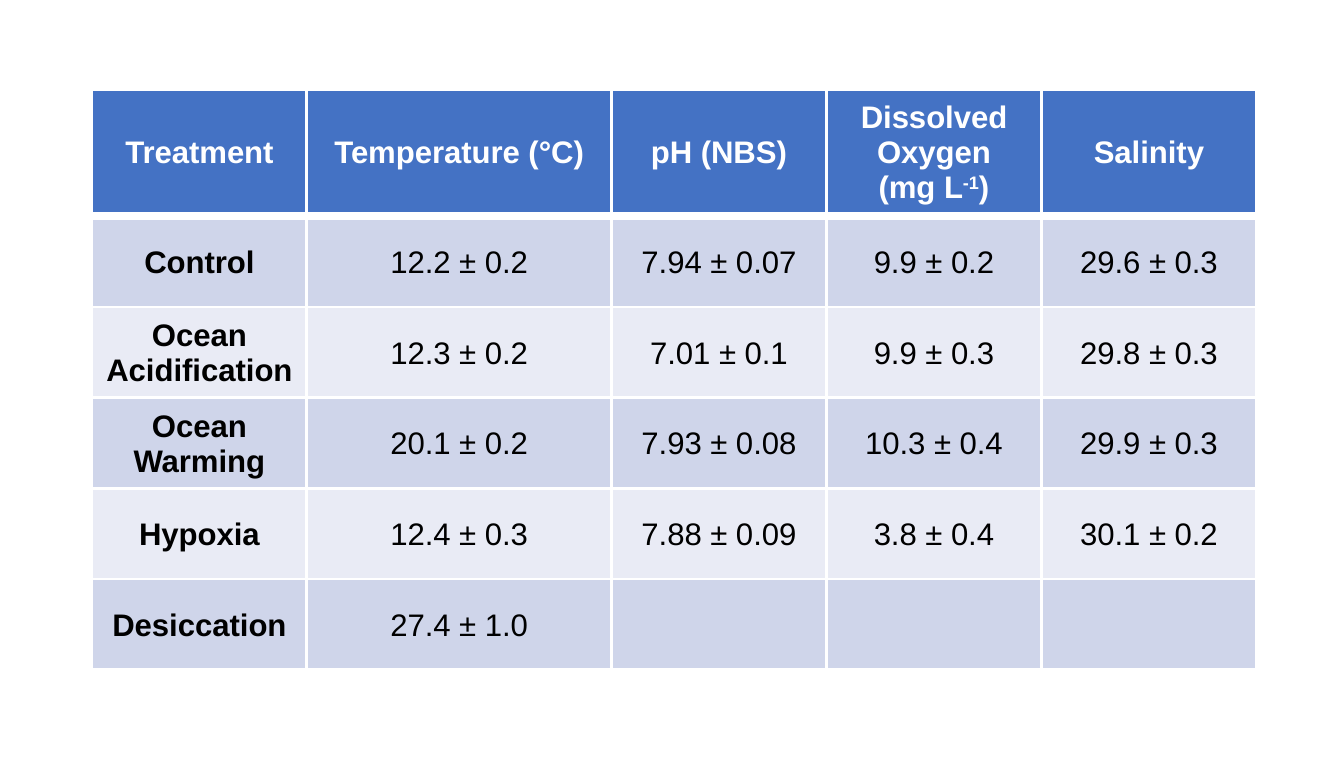
"""Build a slide with a table of water conditions for each treatment."""
from lxml.etree import SubElement
from pptx import Presentation
from pptx.dml.color import RGBColor
from pptx.enum.text import MSO_ANCHOR, PP_ALIGN
from pptx.oxml.ns import qn
from pptx.util import Inches, Pt

COLORS = {
    "header": "4472C4",
    "odd": "CFD5EA",
    "even": "E9EBF5",
    "white": "FFFFFF",
    "black": "000000",
}
COLUMN_WIDTHS = [0.96, 1.36, 0.96, 0.96, 0.96]
ROWS = [
    ["Treatment", "Temperature (°C)", "pH (NBS)", "Dissolved Oxygen (mg L^-1^)", "Salinity"],
    ["Control", "12.2 ± 0.2", "7.94 ± 0.07", "9.9 ± 0.2", "29.6 ± 0.3"],
    ["Ocean Acidification", "12.3 ± 0.2", "7.01 ± 0.1", "9.9 ± 0.3", "29.8 ± 0.3"],
    ["Ocean Warming", "20.1 ± 0.2", "7.93 ± 0.08", "10.3 ± 0.4", "29.9 ± 0.3"],
    ["Hypoxia", "12.4 ± 0.3", "7.88 ± 0.09", "3.8 ± 0.4", "30.1 ± 0.2"],
    ["Desiccation", "27.4 ± 1.0", "", "", ""],
]


class SlideBuilder:
    def __init__(self, slide, font="Arial", size=10):
        self.slide = slide
        self.font = font
        self.size = size

    def table(self, rows, widths, left, top, height):
        shape = self.slide.shapes.add_table(
            len(rows), len(widths), Inches(left), Inches(top),
            Inches(sum(widths)), Inches(height))
        table = shape.table
        for column, width in zip(table.columns, widths):
            column.width = Inches(width)
        for row_index, row in enumerate(rows):
            for column_index, text in enumerate(row):
                cell = table.cell(row_index, column_index)
                self.borders(cell, row_index)
                self.cell(cell, text, row_index, column_index)

    def cell(self, cell, text, row_index, column_index):
        is_header = row_index == 0
        band = "header" if is_header else "odd" if row_index % 2 else "even"
        cell.fill.solid()
        cell.fill.fore_color.rgb = RGBColor.from_string(COLORS[band])
        cell.vertical_anchor = MSO_ANCHOR.MIDDLE
        if not is_header:
            cell.margin_left = cell.margin_right = cell.margin_top = Inches(0.01)
            cell.margin_bottom = 0
        paragraph = cell.text_frame.paragraphs[0]
        paragraph.alignment = PP_ALIGN.CENTER
        if not text:
            return
        for part_index, part in enumerate(text.split("^")):
            run = paragraph.add_run()
            run.text = part
            run.font.name = self.font
            run.font.size = Pt(self.size)
            run.font.bold = is_header or column_index == 0
            color = "white" if is_header else "black"
            run.font.color.rgb = RGBColor.from_string(COLORS[color])
            if part_index % 2:
                run._r.get_or_add_rPr().set("baseline", "30000")

    def borders(self, cell, row_index):
        properties = cell._tc.get_or_add_tcPr()
        thick_side = {0: "lnB", 1: "lnT"}.get(row_index)
        for side in ("lnL", "lnR", "lnT", "lnB"):
            width = Pt(3 if side == thick_side else 1)
            line = SubElement(properties, qn(f"a:{side}"), w=str(width))
            fill = SubElement(line, qn("a:solidFill"))
            SubElement(fill, qn("a:srgbClr"), val=COLORS["white"])


def main():
    presentation = Presentation()
    presentation.slide_width = Inches(6)
    presentation.slide_height = Inches(3.5)
    slide = presentation.slides.add_slide(presentation.slide_layouts[6])
    builder = SlideBuilder(slide)
    builder.table(ROWS, COLUMN_WIDTHS, left=0.41, top=0.4, height=2.43)
    presentation.save("out.pptx")


if __name__ == "__main__":
    main()
